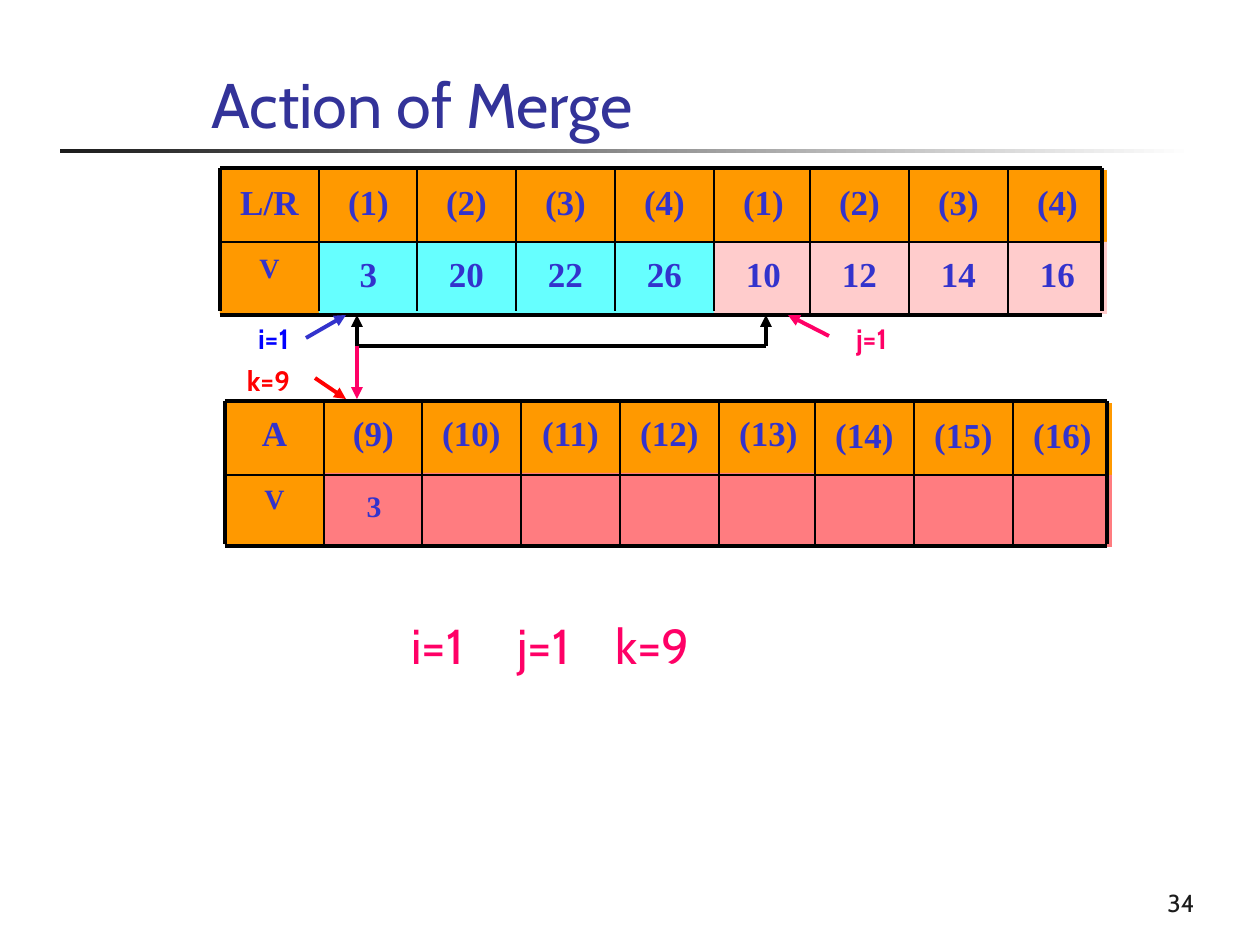
"""Build the slide that shows the first step of a merge."""
from lxml import etree
from pptx import Presentation
from pptx.dml.color import RGBColor
from pptx.enum.shapes import MSO_CONNECTOR, MSO_SHAPE
from pptx.enum.text import MSO_ANCHOR, MSO_AUTO_SIZE, PP_ALIGN
from pptx.oxml.ns import qn
from pptx.util import Emu, Pt

STRAIGHT = MSO_CONNECTOR.STRAIGHT
RECTANGLE = MSO_SHAPE.RECTANGLE
TOP, BOTTOM = MSO_ANCHOR.TOP, MSO_ANCHOR.BOTTOM
LEFT, CENTER, RIGHT = PP_ALIGN.LEFT, PP_ALIGN.CENTER, PP_ALIGN.RIGHT
NO_RESIZE = MSO_AUTO_SIZE.NONE

BLACK = RGBColor(0x00, 0x00, 0x00)
WHITE = RGBColor(0xFF, 0xFF, 0xFF)
CHARCOAL = RGBColor(0x1C, 0x1C, 0x1C)
NAVY = RGBColor(0x33, 0x33, 0x99)
INDIGO = RGBColor(0x33, 0x33, 0xCC)
BLUE = RGBColor(0x00, 0x00, 0xFF)
RED = RGBColor(0xFF, 0x00, 0x00)
PINK = RGBColor(0xFF, 0x00, 0x66)
ORANGE = RGBColor(0xFF, 0x99, 0x00)
CYAN = RGBColor(0x66, 0xFF, 0xFF)
ROSE = RGBColor(0xFF, 0xCC, 0xCC)
CORAL = RGBColor(0xFF, 0x7C, 0x80)

SANS, SERIF = "Cabin", "Times New Roman"
COLUMN_OFFSETS = [0, 99, 197, 296, 395, 494, 590, 689, 788]
FIRST_RIGHT_COLUMN = 6
CELL_WIDTH, CELL_HEIGHT, ARRAY_WIDTH, LINE_HEIGHT = 99, 72, 882, 143
THICK, THIN = 2.25, 1
RIGHT_SIDE = 3


def px(length):
    """Turn pixels into EMU at 126 pixels to the inch."""
    return Emu(round(length * 914400 / 126))


def add_run(paragraph, text, size, color, font=SANS, bold=False):
    """Append one formatted run."""
    run = paragraph.add_run()
    run.text = text
    run.font.size = Pt(size)
    run.font.name = font
    run.font.bold = bold
    run.font.color.rgb = color


def add_title(slide, text):
    """Place and fill the title placeholder."""
    title = slide.shapes.title
    title.left, title.top, title.width, title.height = map(px, (199, 59, 987, 88))
    frame = title.text_frame
    frame.auto_size = NO_RESIZE
    frame.vertical_anchor = TOP
    paragraph = frame.paragraphs[0]
    paragraph.alignment = LEFT
    add_run(paragraph, text, 36, NAVY)


def add_rectangle(slide, box):
    """Add a rectangle without shadow or outline."""
    shape = slide.shapes.add_shape(RECTANGLE, *map(px, box))
    shape.shadow.inherit = False
    shape.line.fill.background()
    return shape


def add_rule(slide):
    """Draw the fading rule under the title."""
    rule = add_rectangle(slide, (60, 149, 1134, 4))
    rule.fill.gradient()
    rule.fill.gradient_angle = 0
    for stop, color in zip(rule.fill.gradient_stops, (CHARCOAL, WHITE)):
        stop.color.rgb = color


def add_text(slide, box, text, size, color, align=LEFT, anchor=TOP, bold=False,
             wrap=True, tabs=()):
    """Add a text box with one line, with tab stops where given."""
    shape = slide.shapes.add_textbox(*map(px, box))
    frame = shape.text_frame
    frame.word_wrap = wrap
    frame.vertical_anchor = anchor
    paragraph = frame.paragraphs[0]
    paragraph.alignment = align
    if tabs:
        tab_list = etree.SubElement(paragraph._p.get_or_add_pPr(), qn("a:tabLst"))
        for position in tabs:
            etree.SubElement(tab_list, qn("a:tab"), pos=str(px(position)), algn="l")
    add_run(paragraph, text, size, color, bold=bold)
    return shape


def add_cell(slide, box, fill, text="", size=20, margin=10):
    """Add a filled array cell with its text near the top."""
    cell = add_rectangle(slide, box)
    cell.fill.solid()
    cell.fill.fore_color.rgb = fill
    if text:
        frame = cell.text_frame
        frame.word_wrap = True
        frame.vertical_anchor = TOP
        frame.margin_top = px(margin)
        paragraph = frame.paragraphs[0]
        paragraph.alignment = CENTER
        add_run(paragraph, text, size, INDIGO, SERIF, True)


def add_line(slide, start, end, color=BLACK, width=THICK, arrow=False):
    """Add a straight line, with an arrowhead at its end if wanted."""
    line = slide.shapes.add_connector(STRAIGHT, *map(px, start + end))
    line.line.color.rgb = color
    line.line.width = Pt(width)
    if arrow:
        etree.SubElement(line.line._get_or_add_ln(), qn("a:tailEnd"), type="triangle")
    etree.SubElement(line._element.spPr, qn("a:effectLst"))
    return line


def add_array(slide, left, top, cell_top, middle, bottom, indexes, values, fills):
    """Add an array of index cells above value cells, with its grid lines."""
    right = left + ARRAY_WIDTH
    for column, offset in enumerate(COLUMN_OFFSETS):
        shift = 2 if column >= FIRST_RIGHT_COLUMN else 0
        x, y = left + offset, max(cell_top, top + shift)
        value_y = y + CELL_HEIGHT
        add_cell(slide, (x, y, CELL_WIDTH, CELL_HEIGHT), ORANGE, indexes[column])
        size, margin = (20, 10) if column else (16, 9)
        add_cell(slide, (x, value_y, CELL_WIDTH, CELL_HEIGHT), fills[column],
                 values[column], size, margin)
    for column, offset in enumerate(COLUMN_OFFSETS + [ARRAY_WIDTH]):
        edge = offset in (0, ARRAY_WIDTH)
        y = top + (2 if column >= FIRST_RIGHT_COLUMN and not edge else 0)
        add_line(slide, (left + offset, y), (left + offset, y + LINE_HEIGHT),
                 width=THICK if edge else THIN)
    for y, width in ((top, THICK), (middle, THIN), (bottom, THICK)):
        add_line(slide, (left, y), (right, y), width=width)


def add_label(slide, box, text, color):
    """Add a small bold index label."""
    return add_text(slide, box, text, 16, color, CENTER, bold=True, wrap=False)


def add_pointers(slide):
    """Add the three index labels with arrows to their cells."""
    label = add_label(slide, (241, 315, 65, 46), "i=1", BLUE)
    arrow = add_line(slide, (305, 336), (346, 315), INDIGO, arrow=True)
    arrow.begin_connect(label, RIGHT_SIDE)
    add_label(slide, (839, 315, 65, 46), "j=1", PINK)
    add_line(slide, (829, 336), (788, 315), PINK, arrow=True)
    add_label(slide, (231, 357, 75, 46), "k=9", RED)
    add_line(slide, (315, 378), (346, 399), RED, arrow=True)


def add_comparison(slide):
    """Link the two compared cells and the cell that takes the smaller value."""
    first, second, level = 357, 766, 346
    for x in (first, second):
        add_line(slide, (x, level), (x, 315), arrow=True)
    add_line(slide, (first, level), (second, level))
    add_line(slide, (first, level), (first, 399), PINK, arrow=True)


def main():
    """Build and save the slide."""
    presentation = Presentation()
    presentation.slide_width, presentation.slide_height = px(1260), px(945)
    slide = presentation.slides.add_slide(presentation.slide_layouts[5])
    add_title(slide, "Action of Merge")
    add_rule(slide)

    half = [f"({number})" for number in range(1, 5)]
    add_array(slide, 220, 168, 170, 242, 315, ["L/R"] + half + half,
              ["V", "3", "20", "22", "26", "10", "12", "14", "16"],
              [ORANGE] + [CYAN] * 4 + [ROSE] * 4)
    add_text(slide, (399, 609, 449, 72), "i=1\tj=1\tk=9", 28, PINK, tabs=(106, 204))
    add_pointers(slide)
    add_array(slide, 225, 401, 401, 475, 546,
              ["A"] + [f"({number})" for number in range(9, 17)],
              ["V"] + [""] * 8, [ORANGE] + [CORAL] * 8)
    add_cell(slide, (333, 483, 82, 53), CORAL, "3", 17, 5)
    add_comparison(slide)
    add_text(slide, (945, 861, 262, 63), "34", 14, CHARCOAL, RIGHT, BOTTOM)
    presentation.save("out.pptx")


if __name__ == "__main__":
    main()
